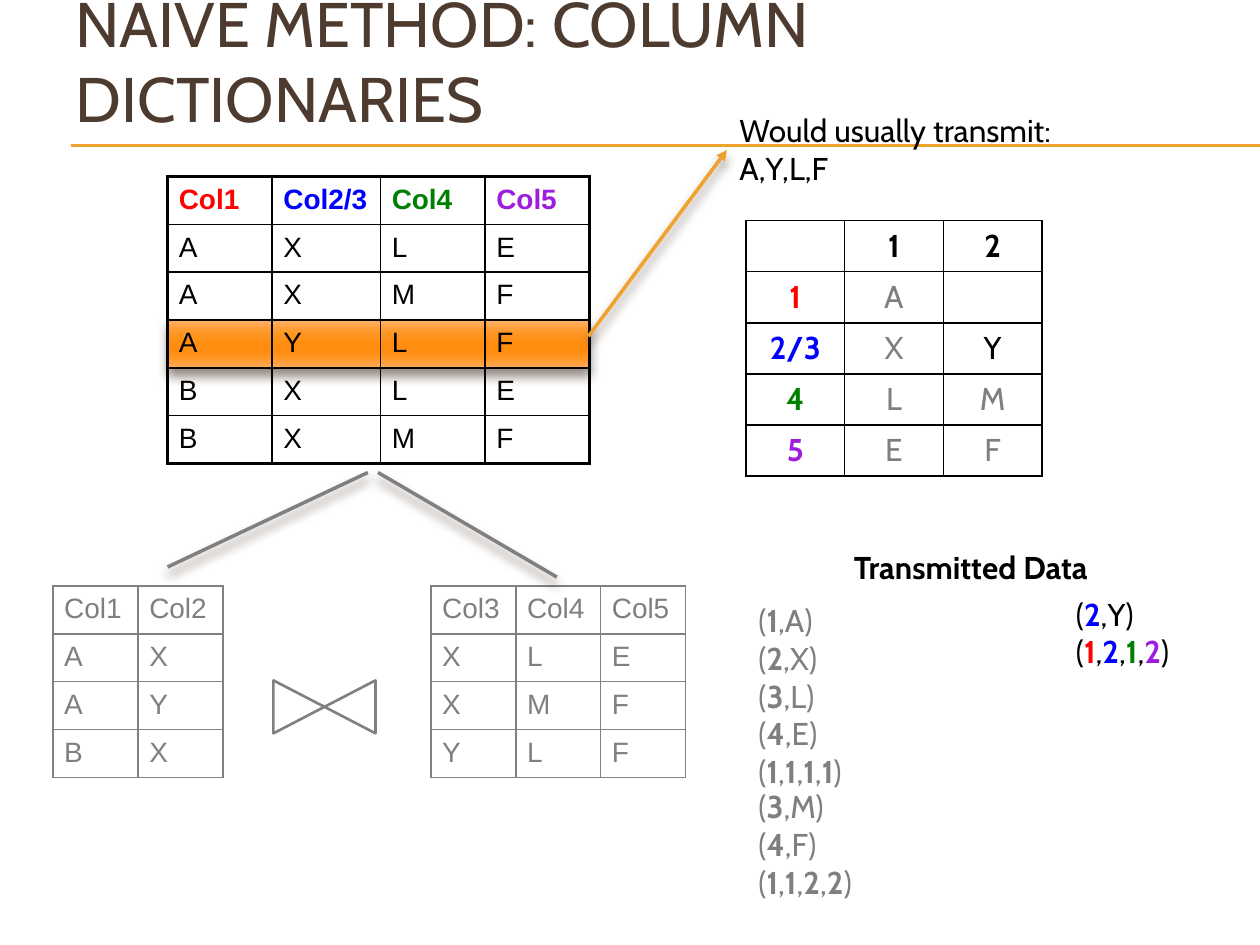
import itertools

import lxml.etree
import pptx
import pptx.dml.color
import pptx.enum.shapes
import pptx.enum.text
import pptx.oxml
import pptx.oxml.ns
import pptx.util

Inches = pptx.util.Inches
Pt = pptx.util.Pt
Align = pptx.enum.text.PP_ALIGN
Anchor = pptx.enum.text.MSO_ANCHOR
Shape = pptx.enum.shapes.MSO_SHAPE
qn = pptx.oxml.ns.qn

COLOURS = {
    "ink": "000000", "brown": "4E3B30", "orange": "F0A22E", "white": "FFFFFF",
    "grey": "7F7F7F", "rule_grey": "808080", "red": "FF0000", "blue": "0000FF",
    "green": "008000", "purple": "9E1DDC",
}
GLOW_STOPS = {0: "FFB16A", 25: "FF9826", 50: "FF8D0F", 65: "FF8D0F", 80: "FF9724", 100: "FFAA5C"}
COLUMN_COLOURS = ["red", "blue", "green", "purple"]


def colour_of(name):
    return pptx.dml.color.RGBColor.from_string(COLOURS[name])


def child(parent, tag, **attributes):
    return lxml.etree.SubElement(parent, qn(tag), {key: str(value) for key, value in attributes.items()})


def write(frame, text, size=18, font="Cabin", colour="ink", bold=False, align=Align.LEFT,
          spacing=None, digit_colours=None):
    digits = itertools.cycle(digit_colours or [colour])
    for index, line in enumerate(text.split("\n")):
        para = frame.add_paragraph() if index else frame.paragraphs[0]
        para.alignment = align
        if spacing:
            para.line_spacing = spacing
        pieces = itertools.groupby(line, str.isdigit) if digit_colours else [(False, line)]
        for is_digit, letters in pieces:
            span = para.add_run()
            span.text = "".join(letters)
            span.font.size = Pt(size)
            span.font.name = font
            span.font.bold = bold or is_digit
            span.font.color.rgb = colour_of(next(digits) if is_digit else colour)


def add_text(page, box, text, wrap=True, **style):
    frame = page.shapes.add_textbox(*map(Inches, box)).text_frame
    frame.word_wrap = wrap
    frame.auto_size = pptx.enum.text.MSO_AUTO_SIZE.SHAPE_TO_FIT_TEXT
    write(frame, text, **style)


def add_shadow(shape):
    effects = child(shape.element.spPr, "a:effectLst")
    shadow = child(effects, "a:outerShdw", blurRad=Pt(6), dist=Pt(4), dir=5400000, rotWithShape=0)
    tint = child(shadow, "a:srgbClr", val=COLOURS["brown"])
    child(tint, "a:alpha", val=60000)


def add_line(page, start, end, colour, width, shadow=True, arrow=False):
    line = page.shapes.add_connector(
        pptx.enum.shapes.MSO_CONNECTOR.STRAIGHT, *map(Inches, start + end))
    line.line.color.rgb = colour_of(colour)
    line.line.width = Pt(width)
    if arrow:
        child(line.line._get_or_add_ln(), "a:tailEnd", type="triangle")
    if shadow:
        add_shadow(line)
    else:
        child(line.element.spPr, "a:effectLst")


def add_border(cell, side, colour, width):
    edge = child(cell._tc.get_or_add_tcPr(), "a:ln" + side, w=Pt(width))
    child(child(edge, "a:solidFill"), "a:srgbClr", val=COLOURS[colour])


def add_grid(page, box, rows, style_at, border, widths=None, frame_width=1):
    count, last = len(rows[0]), len(rows) - 1
    table = page.shapes.add_table(len(rows), count, *map(Inches, box)).table
    table.first_row = table.horz_banding = False
    for index, column in enumerate(table.columns):
        column.width = Inches(widths[index] if widths else box[2] / count)
    for row, values in enumerate(rows):
        table.rows[row].height = Inches(box[3] / len(rows))
        for column, value in enumerate(values):
            cell = table.cell(row, column)
            cell.margin_left = cell.margin_right = Inches(0.09)
            if widths:
                cell.margin_right = Inches(0.03)
            outer = {"L": column == 0, "R": column == count - 1, "T": row == 0, "B": row == last}
            for side, is_outer in outer.items():
                add_border(cell, side, border, frame_width if is_outer else 1)
            cell.fill.background()
            if value:
                write(cell.text_frame, value, **style_at(row, column))


def add_heading(page, box):
    for offset in (0, 0.01):
        add_line(page, (0.56, 1.15 + offset), (10, 1.15 + offset), "orange", 0.75, shadow=False)
    title = page.shapes.title
    title.left, title.top, title.width, title.height = map(Inches, box)
    title.text_frame.vertical_anchor = Anchor.MIDDLE
    title.text_frame.auto_size = pptx.enum.text.MSO_AUTO_SIZE.NONE
    write(title.text_frame, "NAÏVE METHOD: COLUMN DICTIONARIES", size=36, colour="brown")


def add_joined_table(page, box):
    left, top, width, height = box
    row_height = height / 6
    band = page.shapes.add_shape(
        Shape.RECTANGLE, *map(Inches, (left, top + 3 * row_height, width, row_height)))
    band.fill.gradient()
    band.fill.gradient_angle = 270
    stops = band.element.spPr.find(qn("a:gradFill")).find(qn("a:gsLst"))
    stops.clear()
    for position, tint in GLOW_STOPS.items():
        child(child(stops, "a:gs", pos=position * 1000), "a:srgbClr", val=tint)
    band.line.color.rgb = colour_of("orange")
    band.line.width = Pt(0.79)
    add_shadow(band)

    def style_at(row, column):
        return dict(size=16, font="Arial", spacing=1.04, bold=row == 0,
                    colour="ink" if row else COLUMN_COLOURS[column])

    rows = [["Col1", "Col2/3", "Col4", "Col5"], *map(list, ("AXLE", "AXMF", "AYLF", "BXLE", "BXMF"))]
    add_grid(page, box, rows, style_at, "ink", widths=[0.83, 0.86, 0.83, 0.83], frame_width=2.25)


def add_source_table(page, box, header, records):
    def style_at(row, column):
        return dict(size=16, font="Arial", spacing=1.04, colour="grey")

    add_grid(page, box, [header, *map(list, records)], style_at, "rule_grey")


def add_join(page, box):
    left, top, width, height = box
    bow = page.shapes.add_shape(Shape.FLOWCHART_COLLATE, *map(Inches, (
        left + (width - height) / 2, top + (height - width) / 2, height, width)))
    bow.rotation = 90
    bow.shadow.inherit = False
    bow.fill.solid()
    bow.fill.fore_color.rgb = colour_of("white")
    bow.line.color.rgb = colour_of("rule_grey")
    bow.line.width = Pt(1.5)
    add_line(page, (1.33, 4.5), (2.92, 3.75), "rule_grey", 2)
    add_line(page, (3, 3.75), (4.42, 4.58), "rule_grey", 2)


def add_dictionary(page, box):
    def style_at(row, column):
        if row == 0:
            return dict(align=Align.CENTER, bold=True)
        if column == 0:
            return dict(align=Align.CENTER, bold=True, colour=COLUMN_COLOURS[row - 1])
        return dict(align=Align.CENTER, colour="ink" if (row, column) == (2, 2) else "grey")

    rows = [["", "1", "2"], ["1", "A", ""], ["2/3", "X", "Y"], ["4", "L", "M"], ["5", "E", "F"]]
    add_grid(page, box, rows, style_at, "ink")


def add_transmitted(page, box):
    left, top, width, height = box
    add_text(page, (left, top, width, 0.4), "Transmitted Data", bold=True, align=Align.CENTER)
    add_text(page, (left + 0.34, top + 0.42, 3.92, 1.62), "(1,A)\n(2,X)\n(3,L)\n(4,E)\n(1,1,1,1)",
             colour="grey", digit_colours=["grey"])
    add_text(page, (left + 0.34, top + height - 1.01, 3.75, 1.01), "(3,M)\n(4,F)\n(1,1,2,2)",
             colour="grey", digit_colours=["grey"])
    add_text(page, (left + 2.86, top + 0.37, 1.06, 0.71), "(2,Y)\n(1,2,1,2)", wrap=False,
             digit_colours=["blue", "red", "blue", "green", "purple"])


def main():
    deck = pptx.Presentation()
    deck.slide_width, deck.slide_height = Inches(10), Inches(7.5)
    page = deck.slides.add_slide(deck.slide_layouts[5])
    add_heading(page, (0.5, 0, 9, 0.95))
    add_joined_table(page, (1.33, 1.4, 3.35, 2.28))
    add_line(page, (4.67, 2.67), (5.77, 1.19), "orange", 2, arrow=True)
    add_text(page, (5.77, 0.83, 3.81, 0.71), "Would usually transmit:\nA,Y,L,F")
    add_dictionary(page, (5.92, 1.75, 2.35, 2.03))
    add_transmitted(page, (5.58, 4.3, 4.25, 2.91))
    add_source_table(page, (3.42, 4.65, 2.02, 1.52), ["Col3", "Col4", "Col5"], ["XLE", "XMF", "YLF"])
    add_source_table(page, (0.42, 4.65, 1.35, 1.52), ["Col1", "Col2"], ["AX", "AY", "BX"])
    add_join(page, (2.17, 5.4, 0.81, 0.42))
    deck.save("out.pptx")


if __name__ == "__main__":
    main()
